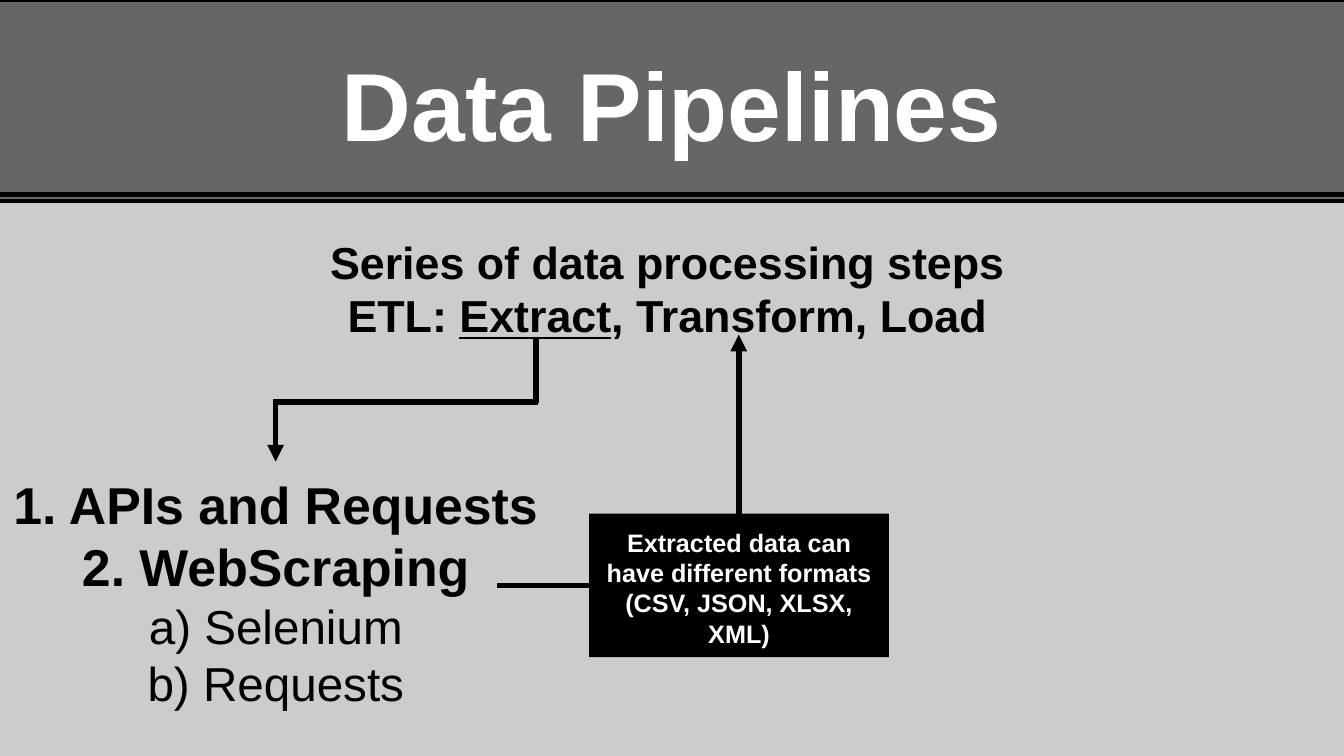
from lxml.etree import SubElement as Sub
from pptx import Presentation
from pptx.dml.color import RGBColor as Rgb
from pptx.enum.shapes import MSO_CONNECTOR as Conn, MSO_SHAPE as Shape
from pptx.enum.text import MSO_ANCHOR as Anchor, MSO_AUTO_SIZE as Fit, PP_ALIGN as Align
from pptx.oxml.ns import qn
from pptx.util import Inches, Pt


def tint(code):
    return Rgb.from_string(code)


def write(frame, *lines, size, bold=True, color="000000", font="Arial",
          pad=0.27, wrap=True, anchor=Anchor.TOP, light=()):
    frame.auto_size = Fit.NONE
    frame.word_wrap = wrap
    frame.vertical_anchor = anchor
    frame.margin_left = frame.margin_right = Inches(pad)
    frame.margin_top = frame.margin_bottom = Inches(pad)
    for i, line in enumerate(lines):
        para = frame.add_paragraph() if i else frame.paragraphs[0]
        para.alignment = Align.CENTER
        para.space_before = Pt(0)
        for j, part in enumerate(line.split("_")):
            run = para.add_run()
            run.text = part
            run.font.name = font
            run.font.size = Pt(light[0] if i in light[1:] else size)
            run.font.bold = bold and i not in light[1:]
            run.font.underline = j % 2 == 1
            run.font.color.rgb = tint(color)


class Deck:
    ink, paper, gray, white = "000000", "CCCCCC", "666666", "FFFFFF"

    def __init__(self, wide, high):
        self.file = Presentation()
        self.file.slide_width, self.file.slide_height = Inches(wide), Inches(high)
        self.slide = self.file.slides.add_slide(self.file.slide_layouts[1])
        self.slide.background.fill.solid()
        self.slide.background.fill.fore_color.rgb = tint(self.paper)

    def place(self, shape, *box):
        shape.left, shape.top, shape.width, shape.height = map(Inches, box)
        return shape

    def title(self, box, text, **style):
        shape = self.place(self.slide.shapes.title, *box)
        write(shape.text_frame, text, color=self.white, anchor=Anchor.BOTTOM, **style)
        return shape

    def list(self, box, *lines, **style):
        shape = self.place(self.slide.placeholders[1], *box)
        write(shape.text_frame, *lines, pad=0, wrap=False, **style)
        for para in shape.text_frame.paragraphs:
            props = para.alignment is not None and para.runs[0].font and para._p.get_or_add_pPr()
            props.set("marL", "0")
            props.set("indent", "0")
            Sub(props, qn("a:buNone"))

    def note(self, box, *lines, **style):
        shape = self.slide.shapes.add_textbox(*map(Inches, box))
        write(shape.text_frame, *lines, **style)

    def block(self, box, fill, edge=None):
        shape = self.slide.shapes.add_shape(Shape.RECTANGLE, *map(Inches, box))
        shape.shadow.inherit = False
        shape.fill.solid()
        shape.fill.fore_color.rgb = tint(fill)
        if edge:
            shape.line.color.rgb = tint(self.ink)
            shape.line.width = Pt(edge)
        else:
            shape.line.fill.background()
        return shape

    def line(self, start, end, width=8, arrow=False):
        rule = self.slide.shapes.add_connector(
            Conn.STRAIGHT, *map(Inches, (*start, *end)))
        rule.line.color.rgb = tint(self.ink)
        rule.line.width = Pt(width)
        if arrow:
            Sub(rule.line._get_or_add_ln(), qn("a:tailEnd"), type="triangle")
        Sub(rule.element.spPr, qn("a:effectLst"))


def main():
    deck = Deck(26.67, 15)
    head = deck.title((0.91, 0.58, 24.85, 2.89), "Data Pipelines", size=138)
    band = deck.block((-0.21, 0, 27.24, 3.99), deck.gray, edge=6)
    head.element.addprevious(band.element)
    deck.line((-0.41, 3.86), (26.89, 3.86), width=6)

    deck.note((2.66, 4.38, 21.16, 2.56), "Series of data processing steps",
              "ETL: _Extract_, Transform, Load", size=64)
    deck.line((10.64, 6.72), (10.64, 7.99))
    deck.line((10.68, 7.98), (5.42, 7.98))
    deck.line((5.47, 7.95), (5.47, 9.16), arrow=True)

    deck.list((0.26, 9.37, 10.43, 4.5), "1. APIs and Requests", "2. WebScraping",
              "a) Selenium", "b) Requests", size=74, light=(68, 2, 3))
    deck.line((9.87, 11.62), (14.72, 11.62))
    deck.line((14.66, 11.65), (14.66, 6.64), arrow=True)
    card = deck.block((11.69, 10.19, 5.95, 2.85), deck.ink)
    write(card.text_frame, "Extracted data can have different formats (CSV, JSON, XLSX, XML)",
          size=36, color=deck.white)
    deck.file.save("out.pptx")


if __name__ == "__main__":
    main()
